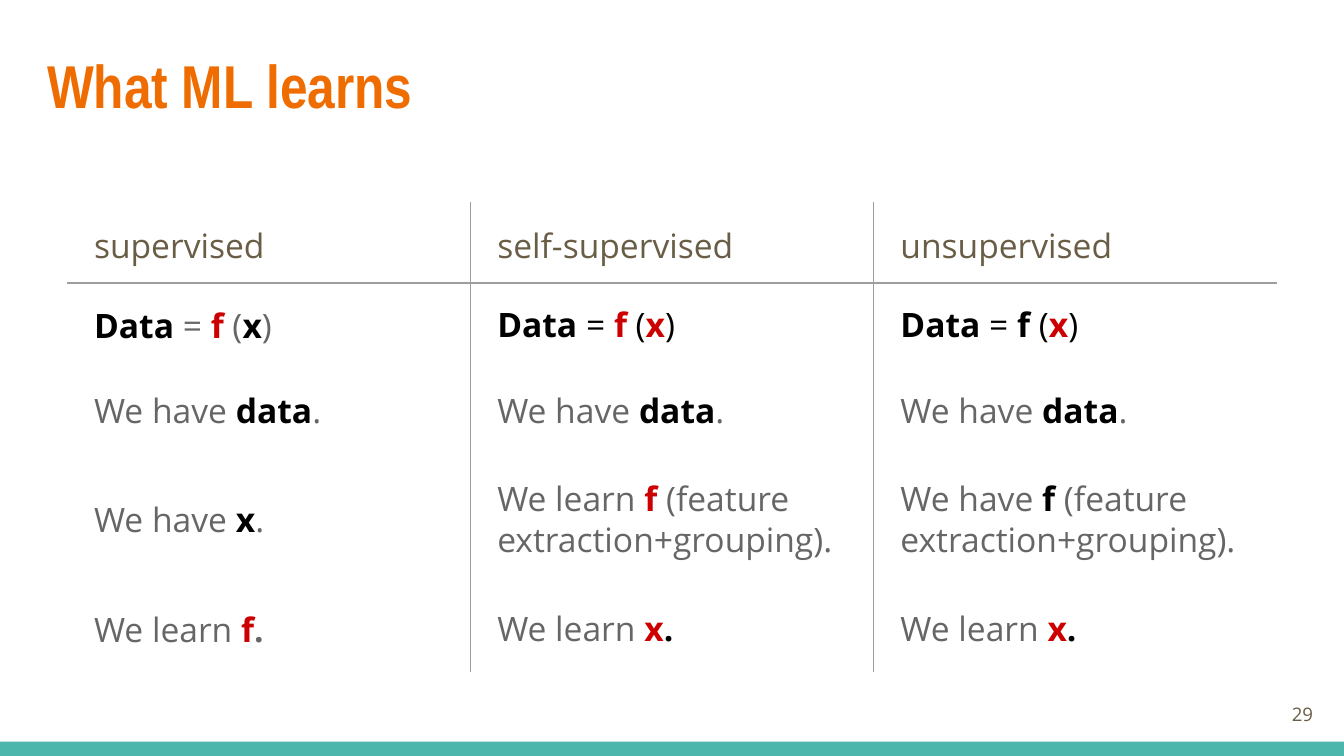
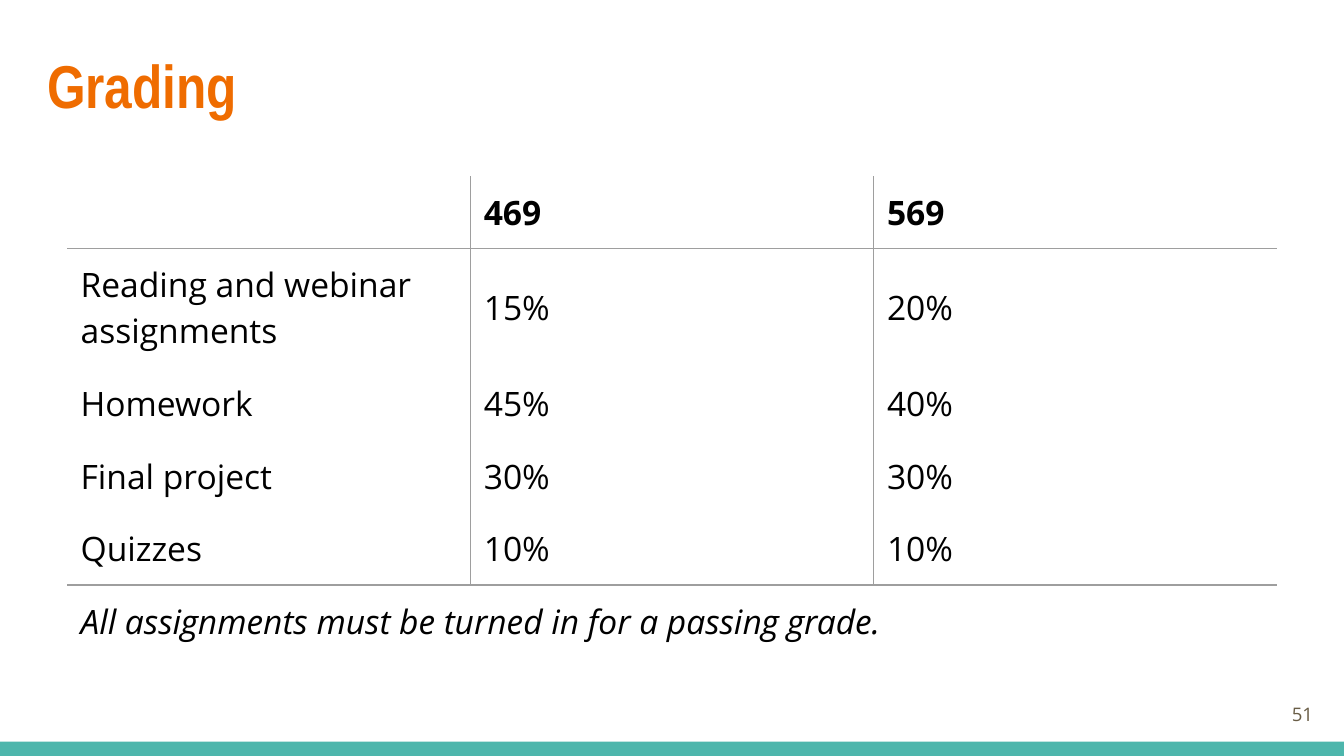
from pptx import Presentation
from pptx.dml.color import RGBColor
from pptx.enum.shapes import MSO_SHAPE as Shape
from pptx.enum.text import MSO_ANCHOR as Anchor, MSO_AUTO_SIZE as AutoSize, PP_ALIGN as Align
from pptx.oxml import parse_xml
from pptx.oxml.ns import nsdecls
from pptx.util import Pt

WIDTH, HEIGHT = 720, 405
BODY_FONT, TITLE_FONT = "Open Sans", "Arial Narrow"
ORANGE, TEAL, BROWN, GREY, RED, BLACK, RULE = (
    "EF6C00", "4DB6AC", "695D46", "666666", "CC0000", "000000", "9E9E9E")
INSET = 7.2
TABLE_LEFT, COLUMN_WIDTH = 36, 216

PLAIN = {"color": GREY}
DARK = {"color": BLACK}
KNOWN = {"color": BLACK, "bold": True}
LEARNED = {"color": RED, "bold": True}
HEADING = {"color": BROWN}
NOTE = {"color": BLACK, "italic": True}


def equation(f, x, plain):
    """Return the runs of Data = f (x)."""
    return [("Data", KNOWN), (" = ", plain), ("f", f), (" (", plain), ("x", x), (")", plain)]


HAVE_DATA = [("We have ", PLAIN), ("data", KNOWN), (".", PLAIN)]
LEARN_X = [("We learn ", PLAIN), ("x", LEARNED), (".", KNOWN)]
EXTRACTION = ("(feature extraction+grouping).", PLAIN)

LEARNING = [
    [[(name, HEADING)] for name in ("supervised", "self-supervised", "unsupervised")],
    [equation(LEARNED, KNOWN, PLAIN), equation(LEARNED, LEARNED, DARK),
     equation(KNOWN, LEARNED, DARK)],
    [HAVE_DATA] * 3,
    [[("We have ", PLAIN), ("x", KNOWN), (".", PLAIN)],
     [("We learn ", PLAIN), ("f ", LEARNED), EXTRACTION],
     [("We have ", PLAIN), ("f ", KNOWN), EXTRACTION]],
    [[("We learn ", PLAIN), ("f", LEARNED), (".", {"color": GREY, "bold": True})],
     LEARN_X, LEARN_X],
]
WEIGHTS = [
    ("Reading and webinar assignments", "15%", "20%"),
    ("Homework", "45%", "40%"),
    ("Final project", "30%", "30%"),
    ("Quizzes", "10%", "10%"),
]
GRADING = [
    [[], [("469", KNOWN)], [("569", KNOWN)]],
    *[[[(text, DARK)] for text in row] for row in WEIGHTS],
    [[("All assignments must be turned in for a passing grade.", NOTE)]],
]
SLIDES = [
    {"title": "What ML learns", "number": "29", "rows": LEARNING, "top": 108,
     "heights": [43.6, 45.4, 45.4, 72, 45.4], "indent": INSET, "tight_rows": (1, 3, 4),
     "header": {"line_spacing": 1.15, "space_after": 12}},
    {"title": "Grading", "number": "51", "rows": GRADING, "top": 94.3,
     "heights": [38.2, 61.2, 38.2, 38.2, 38.2, 38.2], "indent": 0, "tight_rows": (),
     "header": {}},
]


def rgb(value):
    """Turn a hex string into a colour."""
    return RGBColor.from_string(value)


def write(frame, runs, font=BODY_FONT, size=18, align=Align.LEFT, indent=0,
          line_spacing=None, space_after=0):
    """Write (text, style) runs into the first paragraph of a text frame."""
    paragraph = frame.paragraphs[0]
    properties = paragraph._p.get_or_add_pPr()
    properties.set("marL", str(Pt(indent)))
    properties.set("indent", "0")
    paragraph.alignment = align
    paragraph.line_spacing = line_spacing
    paragraph.space_after = Pt(space_after)
    paragraph.font.size = Pt(size)
    for text, style in runs:
        run = paragraph.add_run()
        run.text = text
        run.font.name = font
        run.font.size = Pt(size)
        run.font.bold = style.get("bold", False)
        run.font.italic = style.get("italic", False)
        run.font.color.rgb = rgb(style["color"])


def set_box(shape, left, top, width, height, anchor):
    """Place a text shape and set its insets."""
    shape.left, shape.top, shape.width, shape.height = map(Pt, (left, top, width, height))
    frame = shape.text_frame
    frame.word_wrap = True
    frame.auto_size = AutoSize.NONE
    frame.vertical_anchor = anchor
    frame.margin_left = frame.margin_right = frame.margin_top = frame.margin_bottom = Pt(INSET)
    return frame


def set_borders(cell, sides):
    """Draw the named sides of a cell and hide the others."""
    properties = cell._tc.get_or_add_tcPr()
    for index, side in enumerate("LRTB"):
        fill = (f'<a:solidFill><a:srgbClr val="{RULE}"/></a:solidFill>'
                if side in sides else "<a:noFill/>")
        properties.insert(index, parse_xml(
            f'<a:ln{side} {nsdecls("a")} w="{Pt(0.75)}">{fill}</a:ln{side}>'))


def add_table(slide, rows, top, heights, indent, tight_rows, header):
    """Add a three-column table ruled between columns and under its header."""
    count = len(rows[0])
    table = slide.shapes.add_table(len(rows), count, Pt(TABLE_LEFT), Pt(top),
                                   Pt(COLUMN_WIDTH * count), Pt(sum(heights))).table
    table.first_row = table.horz_banding = False
    for column in table.columns:
        column.width = Pt(COLUMN_WIDTH)
    for row_index, (row, height) in enumerate(zip(rows, heights)):
        table.rows[row_index].height = Pt(height)
        merged = len(row) == 1
        if merged:
            table.cell(row_index, 0).merge(table.cell(row_index, count - 1))
        before_merged = row_index + 1 < len(rows) and len(rows[row_index + 1]) == 1
        for column_index in range(count):
            cell = table.cell(row_index, column_index)
            cell.fill.background()
            cell.vertical_anchor = Anchor.MIDDLE
            cell.margin_left = cell.margin_right = Pt(INSET)
            cell.margin_top = cell.margin_bottom = Pt(INSET)
            sides = "L" if column_index and not merged else ""
            sides += "R" if column_index < count - 1 and not merged else ""
            sides += "T" if row_index == 1 or merged else ""
            sides += "B" if row_index == 0 or before_merged else ""
            set_borders(cell, sides)
            if column_index < len(row):
                spacing = header if row_index == 0 else {}
                if column_index and row_index in tight_rows:
                    spacing = {"line_spacing": 0.9}
                write(cell.text_frame, row[column_index], indent=indent, **spacing)


def add_slide(presentation, title, number, **table):
    """Add a slide with its band, page number, table and title."""
    slide = presentation.slides.add_slide(presentation.slide_layouts[5])
    band = slide.shapes.add_shape(Shape.RECTANGLE, 0, Pt(397.4), Pt(WIDTH), Pt(7.6))
    band.shadow.inherit = False
    band.fill.solid()
    band.fill.fore_color.rgb = rgb(TEAL)
    band.line.fill.background()
    page = slide.shapes.add_textbox(0, 0, 0, 0)
    write(set_box(page, 667.4, 367.2, 43.2, 31, Anchor.MIDDLE), [(number, HEADING)],
          size=10, align=Align.RIGHT)
    add_table(slide, **table)
    write(set_box(slide.shapes.title, 18, 18, 684, 54, Anchor.MIDDLE),
          [(title, {"color": ORANGE, "bold": True})], font=TITLE_FONT, size=32.4)


def main():
    """Build and save the presentation."""
    presentation = Presentation()
    presentation.slide_width, presentation.slide_height = Pt(WIDTH), Pt(HEIGHT)
    for content in SLIDES:
        add_slide(presentation, **content)
    presentation.save("out.pptx")


if __name__ == "__main__":
    main()
